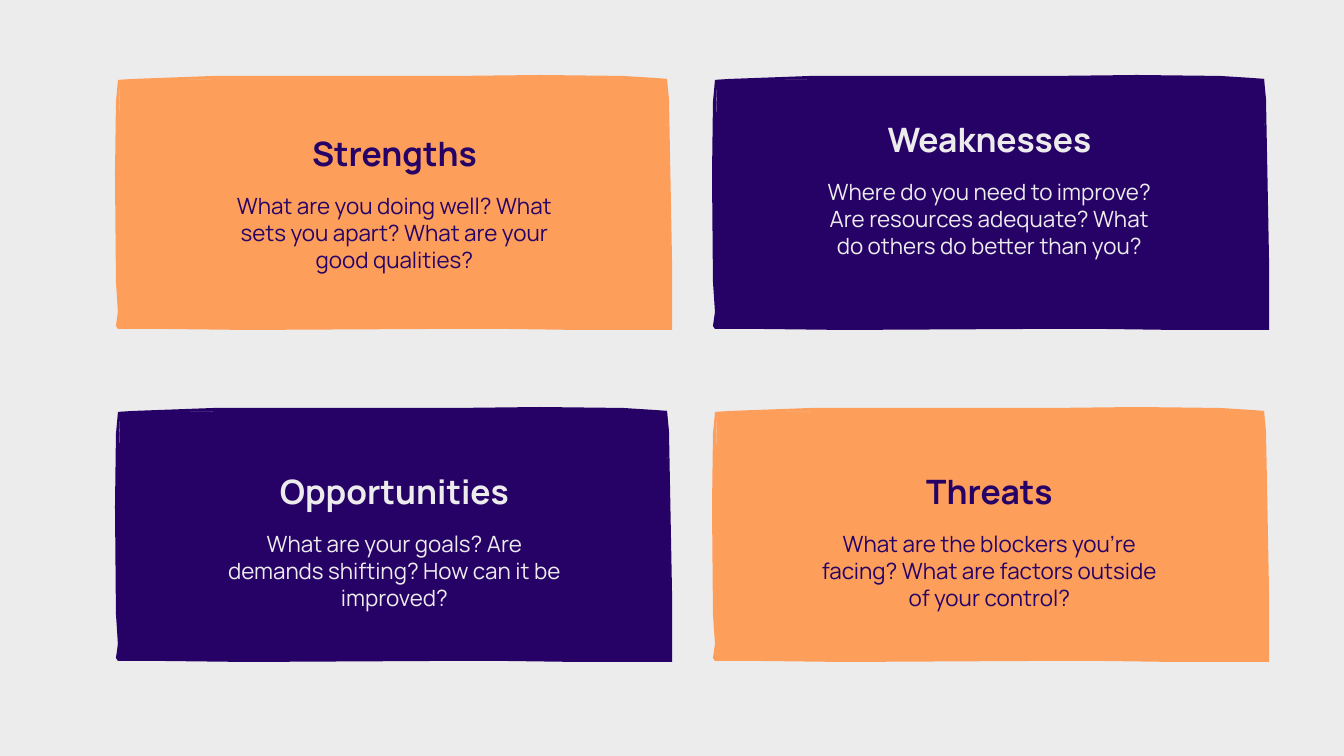
from pptx import Presentation
from pptx.dml.color import RGBColor
from pptx.enum.text import MSO_AUTO_SIZE as AutoSize, PP_ALIGN as Align
from pptx.util import Pt

EMU_PER_PX = 914400 / 134.4
FONT = "Manrope"
LIGHT, PURPLE, ORANGE = "EDECED", "260266", "FD9E5A"

# Content: heading, question, fill, text colour, heading top, question height
CARDS = [
    ("Strengths", "What are you doing well? What sets you apart? What are your good qualities?",
     ORANGE, PURPLE, 133, 82),
    ("Weaknesses", "Where do you need to improve? Are resources adequate? What do others do better than you?",
     PURPLE, LIGHT, 119, 109),
    ("Opportunities", "What are your goals? Are demands shifting? How can it be improved?",
     PURPLE, LIGHT, 471, 82),
    ("Threats", "What are the blockers you're facing? What are factors outside of your control?",
     ORANGE, PURPLE, 471, 82),
]

# Grid: card left, text left and text width per column; card top per row
COLUMNS = [(115, 227, 335), (712, 818, 343)]
ROW_TOPS = [75, 407]
HEADING_HEIGHT, QUESTION_OFFSET = 40, 59

# Hand-cut outlines, in px from the top left corner of a card
PANEL = [(556, 254), (3, 253), (3, 91), (5, 5), (278, 3), (552, 4)]
EDGE_OUTER = [
    (552, 4), (554, 24), (557, 184), (557, 255), (464, 255), (391, 254),
    (320, 254), (132, 255), (48, 254), (3, 254), (1, 251), (3, 237),
    (1, 207), (0, 100), (1, 27), (3, 5), (17, 4), (99, 1),
    (341, 1), (425, 0), (508, 1), (540, 3),
]
EDGE_INNER = [
    (555, 253), (555, 200), (554, 187), (552, 28), (549, 7), (511, 5),
    (431, 4), (141, 4), (56, 5), (5, 8), (4, 38), (4, 126),
    (5, 198), (5, 250), (87, 251), (151, 251), (390, 250), (491, 253),
]


def px(length):
    return round(length * EMU_PER_PX)


def color(hex_value):
    return RGBColor.from_string(hex_value)


def add_outline(slide, left, top, contours, fill):
    first, *others = contours
    builder = slide.shapes.build_freeform(*first[0], scale=EMU_PER_PX)
    builder.add_line_segments(first[1:], close=True)
    for contour in others:
        builder.move_to(*contour[0])
        builder.add_line_segments(contour[1:], close=True)
    shape = builder.convert_to_shape(px(left), px(top))
    shape.shadow.inherit = False
    shape.fill.solid()
    shape.fill.fore_color.rgb = color(fill)
    shape.line.fill.background()


def add_text(slide, left, top, width, height, text, size, text_color, bold=False):
    box = slide.shapes.add_textbox(px(left), px(top), px(width), px(height))
    frame = box.text_frame
    frame.word_wrap = True
    frame.auto_size = AutoSize.SHAPE_TO_FIT_TEXT
    frame.margin_left = frame.margin_top = frame.margin_right = frame.margin_bottom = 0
    frame.text = text
    paragraph = frame.paragraphs[0]
    paragraph.alignment = Align.CENTER
    font = paragraph.runs[0].font
    font.name, font.size, font.bold = FONT, Pt(size), bold
    font.color.rgb = color(text_color)


presentation = Presentation()
presentation.slide_width, presentation.slide_height = px(1344), px(756)
slide = presentation.slides.add_slide(presentation.slide_layouts[6])
slide.background.fill.solid()
slide.background.fill.fore_color.rgb = color(LIGHT)

for index, (heading, question, fill, text_color, text_top, question_height) in enumerate(CARDS):
    row, column = divmod(index, 2)
    card_left, text_left, text_width = COLUMNS[column]

    # Card: flat panel under a rough edge
    add_outline(slide, card_left, ROW_TOPS[row], [PANEL], fill)
    add_outline(slide, card_left, ROW_TOPS[row], [EDGE_OUTER, EDGE_INNER], fill)

    # Heading and question
    add_text(slide, text_left, text_top, text_width, HEADING_HEIGHT,
             heading, 18, text_color, bold=True)
    add_text(slide, text_left, text_top + QUESTION_OFFSET, text_width, question_height,
             question, 12, text_color)

presentation.save("out.pptx")
